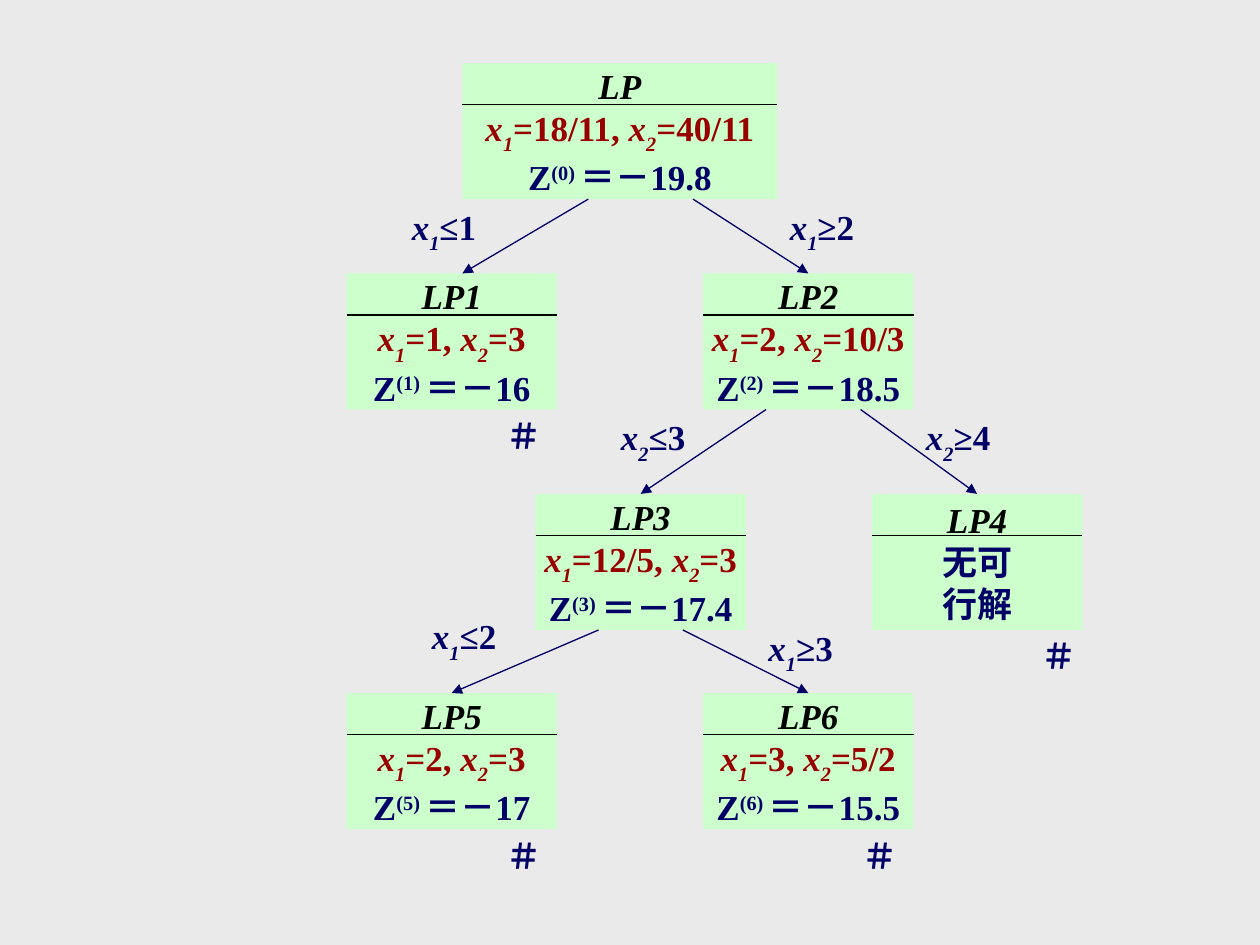
from lxml.etree import SubElement
from pptx import Presentation
from pptx.dml.color import RGBColor
from pptx.enum.shapes import MSO_CONNECTOR, MSO_SHAPE
from pptx.enum.text import MSO_ANCHOR, MSO_AUTO_SIZE, PP_ALIGN
from pptx.oxml.ns import qn
from pptx.util import Inches, Pt

COLORS = {"back": "EAEAEA", "box": "CCFFCC", "title": "000000",
          "solution": "990000", "value": "000066"}
FONT = "Times New Roman"
SIZE = 20
BOX_W, BOX_H, TITLE_H = 1.67, 1.08, 0.33
SUB, SUP = -30000, 30000

# name: left, top, width, (x1, x2), (index, objective), offset of the closing mark
NODES = {
    "LP": (3.67, 0.5, 2.5, ("18/11", "40/11"), ("0", "19.8"), None),
    "LP1": (2.75, 2.17, BOX_W, ("1", "3"), ("1", "16"), 1.17),
    "LP2": (5.58, 2.17, BOX_W, ("2", "10/3"), ("2", "18.5"), None),
    "LP3": (4.25, 3.92, BOX_W, ("12/5", "3"), ("3", "17.4"), None),
    "LP4": (6.92, 3.92, BOX_W, None, None, 1.25),
    "LP5": (2.75, 5.5, BOX_W, ("2", "3"), ("5", "17"), 1.17),
    "LP6": (5.58, 5.5, BOX_W, ("3", "5/2"), ("6", "15.5"), 1.17),
}
INFEASIBLE = ("无可", "行解")

# child, start, end (None: top middle of the child), variable, bound, label position
BRANCHES = [
    ("LP1", (4.67, 1.58), (3.67, 2.17), "1", "≤1", (3.17, 1.58)),
    ("LP2", (5.5, 1.58), None, "1", "≥2", (6.17, 1.58)),
    ("LP3", (6.08, 3.25), None, "2", "≤3", (4.83, 3.25)),
    ("LP4", (6.83, 3.25), None, "2", "≥4", (7.25, 3.25)),
    ("LP5", (4.75, 5), None, "1", "≤2", (3.33, 4.83)),
    ("LP6", (5.42, 5), None, "1", "≥3", (6, 4.92)),
]


def rgb(name):
    return RGBColor.from_string(COLORS[name])


def variable(index, rest):
    return [("x", True, 0), (index, True, SUB), (rest, False, 0)]


def write(tf, lines, align):
    for i, (color, runs) in enumerate(lines):
        p = tf.paragraphs[0] if i == 0 else tf.add_paragraph()
        p.alignment = align
        for text, italic, baseline in runs:
            r = p.add_run()
            r.text = text
            r.font.name, r.font.size = FONT, Pt(SIZE)
            r.font.bold, r.font.italic = True, italic
            r.font.color.rgb = rgb(color)
            if baseline:
                r.font._element.set("baseline", str(baseline))


def add_line(s, start, end, color):
    line = s.shapes.add_connector(MSO_CONNECTOR.STRAIGHT,
                                  *map(Inches, (*start, *end)))
    line.line.color.rgb = rgb(color)
    line.line.width = Pt(0.75)
    SubElement(line._element.spPr, qn("a:effectLst"))
    return line


def add_label(s, at, size, runs, wrap):
    tf = s.shapes.add_textbox(*map(Inches, (*at, *size))).text_frame
    tf.word_wrap = wrap
    tf.auto_size = MSO_AUTO_SIZE.SHAPE_TO_FIT_TEXT
    write(tf, [("value", runs)], PP_ALIGN.LEFT)


def add_node(s, name, left, top, width, solution, objective):
    sp = s.shapes.add_shape(MSO_SHAPE.RECTANGLE,
                            *map(Inches, (left, top, width, BOX_H)))
    sp.shadow.inherit = False
    sp.fill.solid()
    sp.fill.fore_color.rgb = rgb("box")
    sp.line.fill.background()
    lines = [("title", [(name, True, 0)])]
    if solution:
        x1, x2 = solution
        index, value = objective
        lines += [
            ("solution", variable("1", f"={x1}, ") + variable("2", f"={x2}")),
            ("value", [("Z", True, 0)[:1] + (False, 0),
                       (f"({index}) ", False, SUP),
                       (f"＝－{value}", False, 0)]),
        ]
    else:
        lines += [("value", [(text, False, 0)]) for text in INFEASIBLE]
    tf = sp.text_frame
    tf.word_wrap = False
    tf.vertical_anchor = MSO_ANCHOR.MIDDLE
    write(tf, lines, PP_ALIGN.CENTER)
    y = top + TITLE_H
    add_line(s, (left, y), (left + width, y), "title")
    return sp


def main():
    prs = Presentation()
    prs.slide_width, prs.slide_height = Inches(10), Inches(7.5)
    s = prs.slides.add_slide(prs.slide_layouts[6])
    s.background.fill.solid()
    s.background.fill.fore_color.rgb = rgb("back")

    boxes = {name: add_node(s, name, *node[:5]) for name, node in NODES.items()}

    for child, start, end, index, bound, at in BRANCHES:
        left, top, width = NODES[child][:3]
        arrow = add_line(s, start, end or (left + width / 2, top), "value")
        if end is None:
            arrow.end_connect(boxes[child], 0)
        SubElement(arrow.line._get_or_add_ln(), qn("a:tailEnd"), type="triangle")
        add_label(s, at, (0.93, 0.5), variable(index, bound), True)

    for left, top, _, _, _, offset in NODES.values():
        if offset:
            add_label(s, (left + offset, top + BOX_H - 0.01), (0.48, 0.44),
                      [("＃", False, 0)], False)

    prs.save("out.pptx")


if __name__ == "__main__":
    main()
